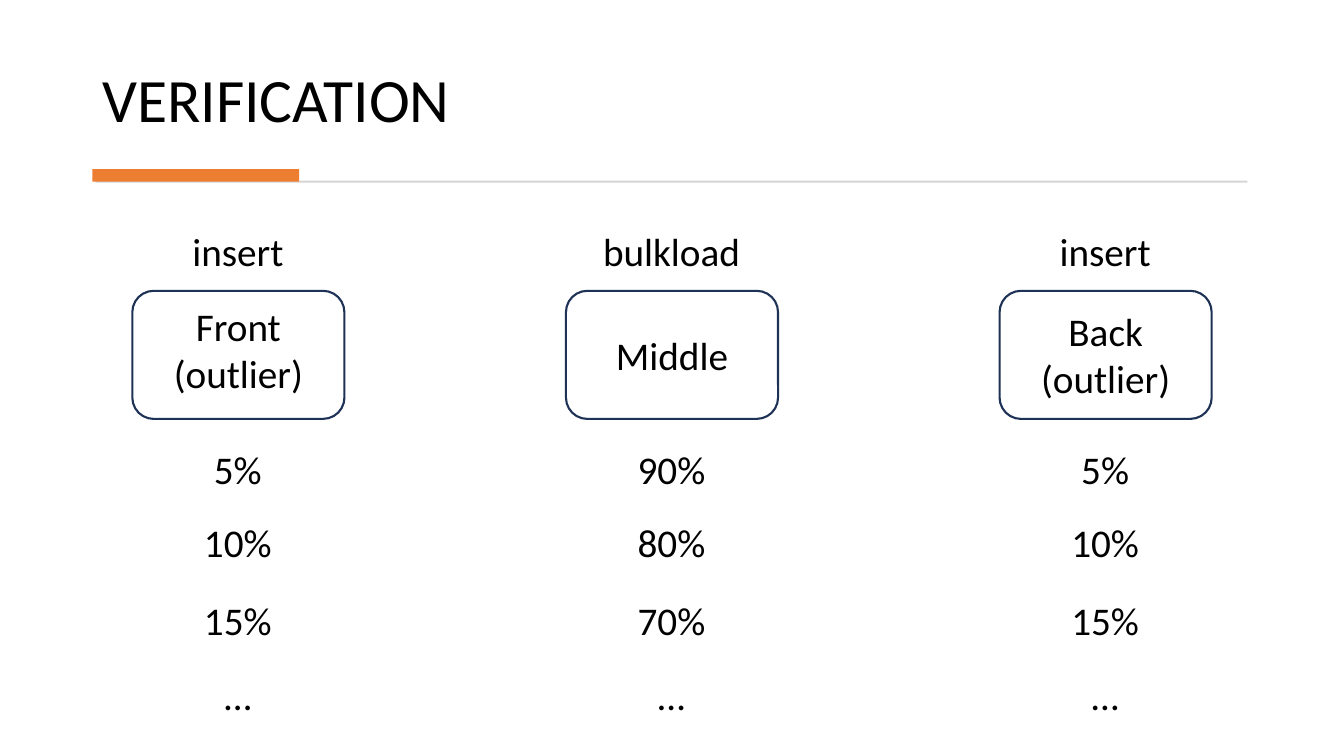
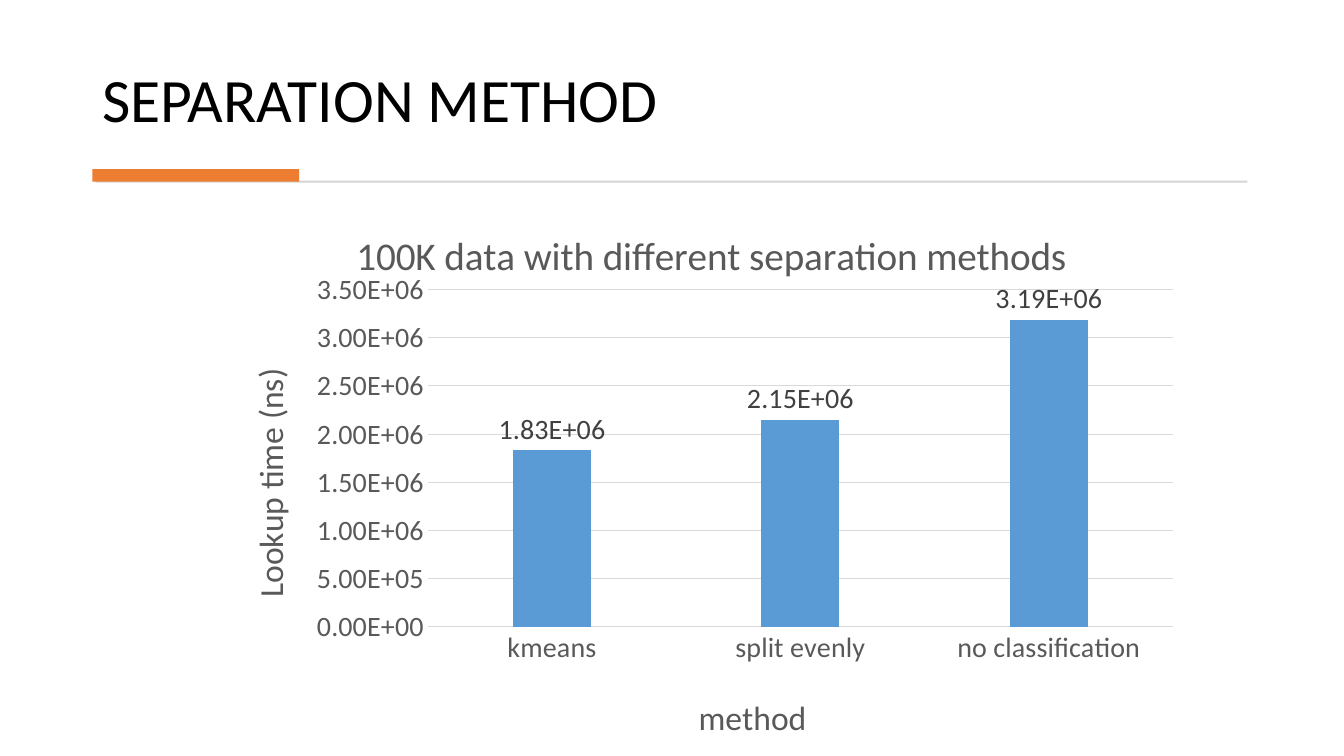
import dataclasses

import lxml.etree
import pptx
import pptx.chart.data
import pptx.dml.color
import pptx.enum.chart
import pptx.enum.shapes
import pptx.enum.text
import pptx.oxml.ns
import pptx.util

SHAPE = pptx.enum.shapes.MSO_SHAPE
ALIGN = pptx.enum.text.PP_ALIGN
ANCHOR = pptx.enum.text.MSO_ANCHOR
qn = pptx.oxml.ns.qn


@dataclasses.dataclass(frozen=True)
class Theme:
    font: str = "Calibri"
    ink: str = "000000"
    accent: str = "ED7D31"
    rule: str = "D5D5D5"
    outline: str = "1E3256"
    bar: str = "5B9BD5"
    grid: str = "D9D9D9"
    chart_text: str = "595959"
    label_text: str = "404040"
    title_size: int = 44
    body_size: int = 28
    axis_title_size: int = 24
    tick_size: int = 20


def px(n):
    return pptx.util.Emu(n * 9525)


def rgb(value):
    return pptx.dml.color.RGBColor.from_string(value)


def place(parent, target=None, **fractions):
    layout = parent.find(qn("c:layout"))
    if layout is None:
        layout = lxml.etree.Element(qn("c:layout"))
        parent.insert(0, layout)
    manual = lxml.etree.SubElement(layout, qn("c:manualLayout"))
    if target:
        lxml.etree.SubElement(manual, qn("c:layoutTarget")).set("val", target)
    for side in "xy":
        lxml.etree.SubElement(manual, qn(f"c:{side}Mode")).set("val", "edge")
    for name, value in fractions.items():
        lxml.etree.SubElement(manual, qn(f"c:{name}")).set("val", str(value))


class Deck:
    def __init__(self, theme):
        self.theme = theme
        self.prs = pptx.Presentation()
        self.prs.slide_width, self.prs.slide_height = px(1280), px(720)
        self.s = None

    def slide(self, title):
        t = self.theme
        self.s = self.prs.slides.add_slide(self.prs.slide_layouts[6])
        p = self.text(title, 88, 27, 1103, 107, t.title_size, ALIGN.LEFT, ANCHOR.BOTTOM)
        p.line_spacing = 0.9
        self.band(91, 172, 1097, 2, t.rule)
        self.band(88, 161, 197, 12, t.accent)

    def style(self, font, size, color):
        font.name = self.theme.font
        font.size = pptx.util.Pt(size)
        font.bold = False
        font.color.rgb = rgb(color)

    def add_lines(self, tf, lines, size, align):
        tf.word_wrap = True
        for i, line in enumerate(lines.split("\n")):
            p = tf.add_paragraph() if i else tf.paragraphs[0]
            p.alignment = align
            r = p.add_run()
            r.text = line
            self.style(r.font, size, self.theme.ink)
        return p

    def text(self, lines, x, y, w, h, size, align=ALIGN.CENTER, anchor=ANCHOR.TOP):
        tf = self.s.shapes.add_textbox(px(x), px(y), px(w), px(h)).text_frame
        tf.vertical_anchor = anchor
        return self.add_lines(tf, lines, size, align)

    def shape(self, kind, x, y, w, h):
        sp = self.s.shapes.add_shape(kind, px(x), px(y), px(w), px(h))
        sp.shadow.inherit = False
        return sp

    def band(self, x, y, w, h, color):
        sp = self.shape(SHAPE.RECTANGLE, x, y, w, h)
        sp.fill.solid()
        sp.fill.fore_color.rgb = rgb(color)
        sp.line.fill.background()

    def box(self, lines, x, y, w, h, lift=0):
        sp = self.shape(SHAPE.ROUNDED_RECTANGLE, x, y, w, h)
        sp.fill.background()
        sp.line.color.rgb = rgb(self.theme.outline)
        sp.line.width = pptx.util.Pt(1.5)
        tf = sp.text_frame
        tf.vertical_anchor = ANCHOR.MIDDLE
        tf.margin_bottom = px(5 + 2 * lift)
        self.add_lines(tf, lines, self.theme.body_size, ALIGN.CENTER)

    def heading(self, title, text, size, x, y, rotation=0):
        r = title.text_frame.paragraphs[0].add_run()
        r.text = text
        self.style(r.font, size, self.theme.chart_text)
        body = title.element.find(".//" + qn("a:bodyPr"))
        body.set("rot", str(rotation * 60000))
        body.set("vert", "horz")
        place(title.element, x=x, y=y)

    def column_chart(self, title, x_title, y_title, values, top, step, x, y, w, h):
        t = self.theme
        number_format = "0.00E+00"
        data = pptx.chart.data.CategoryChartData(number_format=number_format)
        data.categories = list(values)
        data.add_series("Series 1", list(values.values()))
        chart = self.s.shapes.add_chart(
            pptx.enum.chart.XL_CHART_TYPE.COLUMN_CLUSTERED,
            px(x), px(y), px(w), px(h), data).chart
        chart.has_legend = False
        self.style(chart.font, t.tick_size, t.chart_text)
        self.heading(chart.chart_title, title, t.body_size, 0.14, 0.05)
        plot_area = chart.element.find(".//" + qn("c:plotArea"))
        place(plot_area, "inner", x=0.22, y=0.17, w=0.76, h=0.6)

        cat, val = chart.category_axis, chart.value_axis
        self.heading(cat.axis_title, x_title, t.axis_title_size, 0.49, 0.88)
        self.heading(val.axis_title, y_title, t.axis_title_size, 0.03, 0.3, -90)
        for axis in (cat, val):
            axis.major_tick_mark = pptx.enum.chart.XL_TICK_MARK.NONE
            self.style(axis.tick_labels.font, t.tick_size, t.chart_text)
        val.minimum_scale, val.maximum_scale, val.major_unit = 0, top, step
        val.tick_labels.number_format = number_format
        val.tick_labels.number_format_is_linked = False
        val.format.line.fill.background()
        for line in (cat.format.line, val.major_gridlines.format.line):
            line.color.rgb = rgb(t.grid)
            line.width = pptx.util.Pt(0.75)

        plot = chart.plots[0]
        plot.vary_by_categories = False
        plot.gap_width, plot.overlap = 219, -27
        fill = plot.series[0].format.fill
        fill.solid()
        fill.fore_color.rgb = rgb(t.bar)
        plot.has_data_labels = True
        labels = plot.data_labels
        labels.show_value = True
        labels.position = pptx.enum.chart.XL_LABEL_POSITION.OUTSIDE_END
        labels.number_format = number_format
        labels.number_format_is_linked = False
        self.style(labels.font, t.tick_size, t.label_text)


def verification(deck):
    deck.slide("VERIFICATION")
    parts = [
        ("insert", "Front\n(outlier)", 5, ("5%", "10%", "15%", "…")),
        ("bulkload", "Middle", 0, ("90%", "80%", "70%", "…")),
        ("insert", "Back\n(outlier)", 0, ("5%", "10%", "15%", "…")),
    ]
    tops = (212, 419, 489, 563, 635)
    for i, (action, name, lift, shares) in enumerate(parts):
        x = 126 + 413 * i
        deck.box(name, x, 277, 202, 122, lift)
        for label, y in zip((action, *shares), tops):
            deck.text(label, x + 23, y, 155, 55, deck.theme.body_size)


def separation(deck):
    deck.slide("SEPARATION METHOD")
    lookup_times = {
        "kmeans": 1830000,
        "split evenly": 2150000,
        "no classification": 3190000,
    }
    deck.column_chart("100K data with different separation methods", "method",
                      "Lookup time (ns)", lookup_times, 3500000, 500000,
                      202, 185, 934, 535)


def main():
    deck = Deck(Theme())
    verification(deck)
    separation(deck)
    deck.prs.save("out.pptx")


if __name__ == "__main__":
    main()
